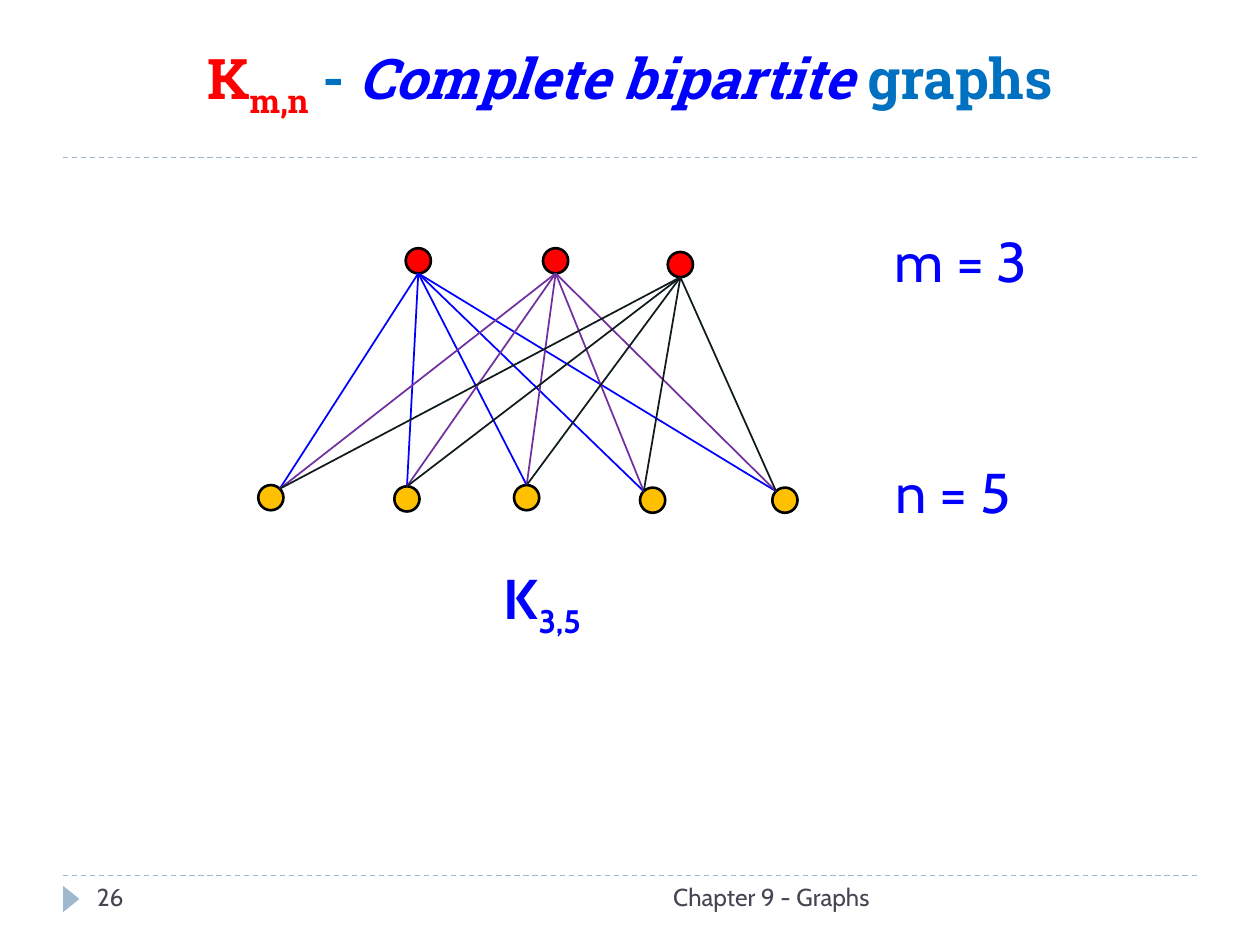
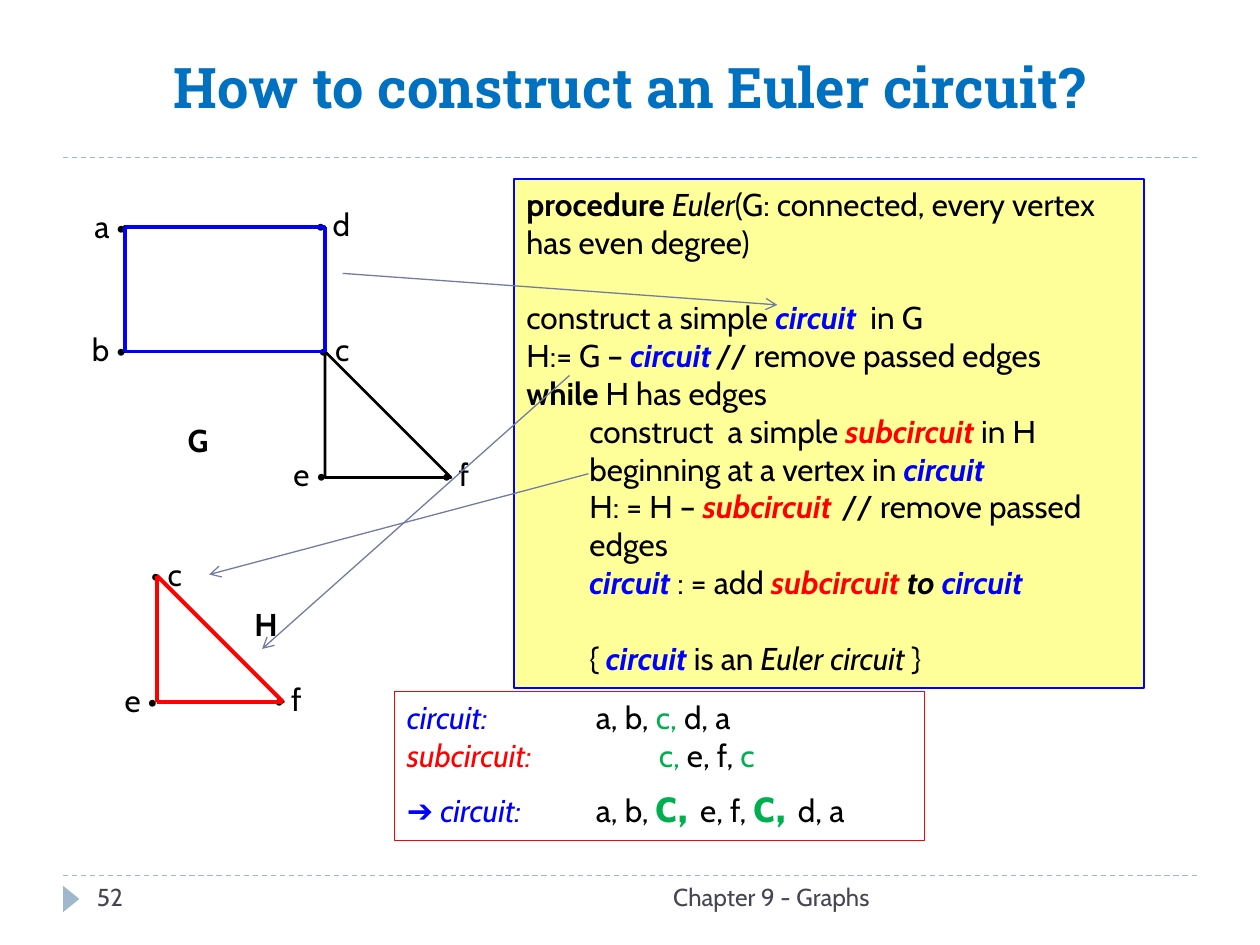
from pptx import Presentation
from pptx import util as u
from pptx.dml.color import RGBColor
from pptx.enum import dml, shapes, text
from pptx.oxml.ns import qn
from lxml import etree

Pt = u.Pt
Kind = shapes.MSO_SHAPE
Align = text.PP_ALIGN
Anchor = text.MSO_ANCHOR

hues = {
    "black": "000000", "blue": "0000FF", "red": "FF0000", "sky": "0070C0",
    "gold": "FFC000", "green": "00B050", "plum": "7030A0", "ink": "101B1D",
    "pale": "FFFF99", "band": "9FB8CD", "slate": "464653", "arrow": "727CA3",
}


def draw(page, kind, box, fill=None, edge=None, width=1.5, paras=(), size=18,
         face="Cabin", align=Align.LEFT, anchor=Anchor.TOP, wrap=False):
    place = [Pt(n) for n in box]
    if kind is None:
        item = page.shapes.add_textbox(*place)
    else:
        item = page.shapes.add_shape(kind, *place)
        item.shadow.inherit = False
        for part, hue in ((item.fill, fill), (item.line.fill, edge)):
            if hue:
                part.solid()
                part.fore_color.rgb = RGBColor.from_string(hues[hue])
            else:
                part.background()
        if edge:
            item.line.width = Pt(width)
    frame = item.text_frame
    frame.word_wrap = wrap
    frame.vertical_anchor = anchor
    for i, (runs, indent, gap) in enumerate(paras):
        para = frame.paragraphs[0] if i == 0 else frame.add_paragraph()
        para.alignment = align
        para.space_before = Pt(gap)
        para._p.get_or_add_pPr().set("marL", str(Pt(indent)))
        for words, hue, style, *big in runs:
            run = para.add_run()
            run.text = words
            font = run.font
            font.name = face
            font.size = Pt(big[0] if big else size)
            font.bold = "b" in style
            font.italic = "i" in style
            font.color.rgb = RGBColor.from_string(hues[hue])
            if "s" in style:
                run._r.get_or_add_rPr().set("baseline", "-25000")
    return item


def link(page, start, end, hue, width, dash=False, arrow=False):
    line = page.shapes.add_connector(
        shapes.MSO_CONNECTOR.STRAIGHT, *[Pt(n) for n in (*start, *end)])
    line.line.color.rgb = RGBColor.from_string(hues[hue])
    line.line.width = Pt(width)
    if dash:
        line.line.dash_style = dml.MSO_LINE.DASH
    if arrow:
        etree.SubElement(line.line._get_or_add_ln(), qn("a:tailEnd"), type="arrow")
    etree.SubElement(line._element.spPr, qn("a:effectLst"))


deck = Presentation()
deck.slide_width, deck.slide_height = Pt(720), Pt(540)

heads = [
    ("26", [("K", "red", "b"), ("m,n", "red", "bs"), (" - ", "sky", "b"),
            ("Complete bipartite ", "blue", "bi"), ("graphs", "sky", "b")]),
    ("52", [("How to construct an Euler circuit?", "sky", "b")]),
]
pages = []
for count, title in heads:
    page = deck.slides.add_slide(deck.slide_layouts[6])
    for y in (500.4, 90):
        link(page, (36, y), (684, y), "band", 0.75, dash=True)
    mark = draw(page, Kind.ISOSCELES_TRIANGLE, (33.12, 509.04, 15.12, 9.36), "band")
    mark.rotation = 90
    draw(page, None, (36, -5.76, 648, 77.76), paras=[(title, 0, 0)], size=32,
         face="Roboto Slab", align=Align.CENTER, anchor=Anchor.BOTTOM, wrap=True)
    for words, x, w, align in ((count, 48.24, 156, Align.LEFT),
                               ("Chapter 9 - Graphs", 228.24, 275.76, Align.RIGHT)):
        draw(page, None, (x, 500.4, w, 28.8), paras=[([(words, "slate", "")], 0, 0)],
             size=14, align=align, wrap=True)
    pages.append(page)

graph, euler = pages

dot = 14.4
tops = [(231.84, 141.84, "blue"), (310.32, 141.84, "plum"), (381.6, 144, "ink")]
lows = [(147.6, 277.2, 12.3, 2.1), (225.36, 277.92, 7.2, 0), (293.76, 277.2, 7.2, 0),
        (365.76, 278.64, 2.1, 2.1), (441.36, 278.64, 2.1, 2.1)]
for row, fill in ((tops, "red"), (lows, "gold")):
    for x, y, *rest in row:
        draw(graph, Kind.FLOWCHART_CONNECTOR, (x, y, dot, dot), fill, "black")
for x, y, hue in tops:
    for left, top, dx, dy in lows:
        link(graph, (x + dot / 2, y + dot), (left + dx, top + dy), hue, 1)

notes = [
    ([("m = 3", "blue", "")], 504, 126, 92.16),
    ([("n = 5", "blue", "")], 504.72, 257.76, 83.52),
    ([("K", "blue", "b"), ("3,5", "blue", "bs")], 280.8, 318.24, 66.96),
]
for runs, x, y, w in notes:
    draw(graph, None, (x, y, w, 46.08), paras=[(runs, 0, 0)], size=32)

left, right, top, base = 71.28, 185.76, 129.6, 200.88
side = 72
draw(euler, Kind.RECTANGLE, (left, top, right - left, base - top), edge="black")
draw(euler, Kind.RIGHT_TRIANGLE, (right, base, side, side), edge="black")
draw(euler, Kind.RIGHT_TRIANGLE, (90, 329.04, side, side), edge="black")

labels = [
    ("a •", 46.8, 114.48, 41.76, ""), ("b •", 45.36, 185.04, 41.76, ""),
    ("e •", 160.56, 256.32, 39.6, ""), ("• d", 173.52, 113.76, 40.32, ""),
    ("• c", 174.96, 185.04, 40.32, ""), ("• f", 245.52, 256.32, 33.84, ""),
    ("• c", 79.2, 313.92, 40.32, ""), ("• f", 149.76, 385.2, 33.84, ""),
    ("e •", 64.08, 385.92, 39.6, ""), ("G", 100.08, 236.88, 30.24, "b"),
    ("H", 138.24, 342, 26.64, "b"),
]
for words, x, y, w, style in labels:
    draw(euler, None, (x, y, w, 28.8), paras=[([(words, "black", style)], 0, 0)])

loop = ("circuit", "blue", "bi")
sub = ("subcircuit", "red", "bi")
blank = 21.6
steps = [
    ([("procedure ", "black", "b"), ("Euler", "black", "i"),
      ("(G: connected, every vertex has even degree)", "black", "")], 0, 0),
    ([("construct a simple ", "black", ""), loop, ("  in G", "black", "")], 0, blank),
    ([("H:= G – ", "black", ""), loop, ("\t// remove passed edges", "black", "")], 0, 0),
    ([("while", "black", "b"), (" H has edges", "black", "")], 0, 0),
    ([("construct  a simple ", "black", ""), sub,
      (" in H beginning at a vertex in ", "black", ""), loop], 36, 0),
    ([("H: = H – ", "black", ""), sub, ("\t// remove passed edges", "black", "")], 36, 0),
    ([loop, (" : = add ", "black", ""), sub, (" to ", "black", "bi"), loop], 36, 0),
    ([("{ ", "black", ""), loop, (" is an ", "black", ""),
      ("Euler circuit ", "black", "i"), ("}", "black", "")], 36, blank),
]
draw(euler, Kind.RECTANGLE, (293.76, 102.24, 360, 290.88), "pale", "blue", 0.75,
     steps, wrap=True)

ring = [(left, top), (right, top), (right, base), (left, base)]
wedge = [(89.64, 329.04), (89.64, 401.04), (161.64, 401.04)]
for nodes, hue in ((ring, "blue"), (wedge, "red")):
    for start, end in zip(nodes, nodes[1:] + nodes[:1]):
        link(euler, start, end, hue, 2.25)
for start, end in (((195.84, 156.24), (444.24, 174.24)),
                   ((325.44, 214.56), (149.76, 370.8)),
                   ((336.24, 270.72), (119.52, 328.32))):
    link(euler, start, end, "arrow", 0.75, arrow=True)

join = ("c, ", "green", "b", 28)
trace = [
    ([("circuit:", "blue", "i"), (" \t\ta, b, ", "black", ""), ("c, ", "green", ""),
      ("d, a", "black", "")], 0, 0),
    ([("subcircuit: \t\t", "red", "i"), ("c, ", "green", ""), ("e, f, ", "black", ""),
      ("c", "green", "")], 0, 0),
    ([("➔ circuit: ", "blue", "i"), ("\t\ta, b, ", "black", ""), join,
      ("e, f, ", "black", ""), join, ("d, a", "black", "")], 0, 0),
]
draw(euler, Kind.RECTANGLE, (225.36, 395.28, 303.12, 84.96), None, "red", 0.75, trace)

deck.save("out.pptx")
